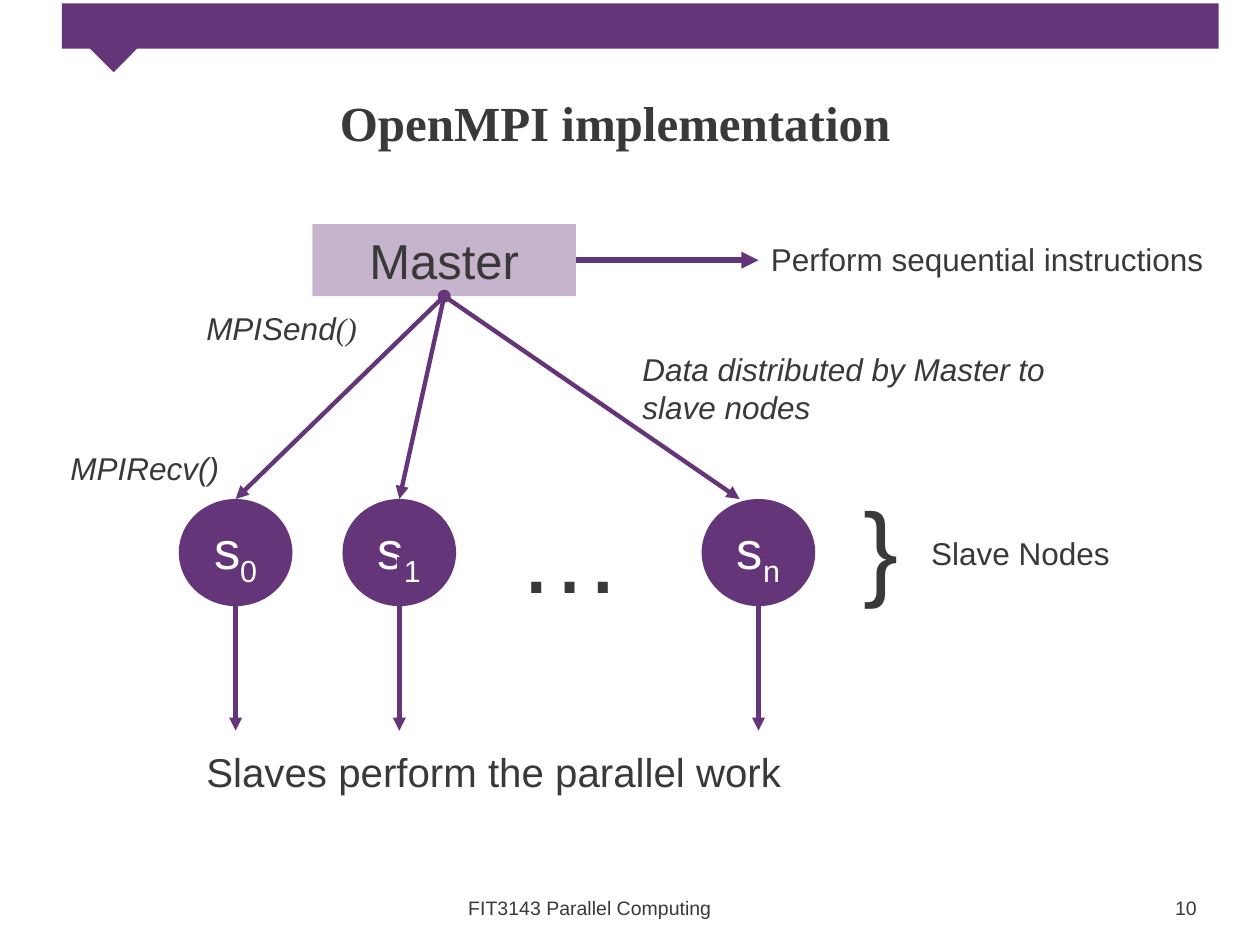
from lxml import etree
from pptx import Presentation
from pptx.dml.color import RGBColor
from pptx.enum.shapes import MSO_CONNECTOR, MSO_SHAPE
from pptx.enum.text import MSO_ANCHOR, PP_ALIGN
from pptx.oxml.ns import qn
from pptx.util import Cm, Pt

PURPLE = RGBColor(0x65, 0x35, 0x79)
DARK = RGBColor(0x39, 0x39, 0x38)
WHITE = RGBColor(0xFF, 0xFF, 0xFF)

RECTANGLE = MSO_SHAPE.RECTANGLE
OVAL = MSO_SHAPE.OVAL
STRAIGHT = MSO_CONNECTOR.STRAIGHT
CENTER = PP_ALIGN.CENTER
MIDDLE = MSO_ANCHOR.MIDDLE


def add_run(paragraph, text, size=18, font="Arial", color=DARK,
            bold=False, italic=False, subscript=False):
    run = paragraph.add_run()
    run.text = text
    run.font.size = Pt(size)
    run.font.name = font
    run.font.color.rgb = color
    run.font.bold = bold
    run.font.italic = italic
    if subscript:
        run._r.get_or_add_rPr().set("baseline", "-25000")


class Diagram:
    """Draws elements on one slide; all lengths are in centimetres."""

    def __init__(self, slide):
        self.slide = slide
        self.accent = PURPLE

    def shape(self, kind, left, top, width, height, rotation=0, opacity=None):
        shape = self.slide.shapes.add_shape(
            kind, Cm(left), Cm(top), Cm(width), Cm(height))
        shape.shadow.inherit = False
        shape.rotation = rotation
        shape.line.fill.background()
        shape.fill.solid()
        shape.fill.fore_color.rgb = self.accent
        if opacity is not None:
            color = shape._element.spPr.find(qn("a:solidFill"))[0]
            etree.SubElement(color, qn("a:alpha"), val=str(opacity * 1000))
        shape.text_frame.vertical_anchor = MIDDLE
        paragraph = shape.text_frame.paragraphs[0]
        paragraph.alignment = CENTER
        return paragraph

    def label(self, text, left, top, width, height, wrap=False,
              centered=False, **text_format):
        box = self.slide.shapes.add_textbox(
            Cm(left), Cm(top), Cm(width), Cm(height))
        frame = box.text_frame
        frame.word_wrap = wrap
        paragraph = frame.paragraphs[0]
        if centered:
            frame.vertical_anchor = MIDDLE
            paragraph.alignment = CENTER
        add_run(paragraph, text, **text_format)
        return paragraph

    def arrow(self, start, end, width=2.5, head=None):
        connector = self.slide.shapes.add_connector(
            STRAIGHT, *(Cm(value) for value in (*start, *end)))
        connector.line.color.rgb = self.accent
        connector.line.width = Pt(width)
        line = connector.line._get_or_add_ln()
        if head:
            etree.SubElement(line, qn("a:headEnd"), type=head)
        etree.SubElement(line, qn("a:tailEnd"), type="triangle")
        etree.SubElement(connector._element.spPr, qn("a:effectLst"))


def main():
    presentation = Presentation()
    presentation.slide_width = Cm(25.4)
    presentation.slide_height = Cm(19.05)
    slide = presentation.slides.add_slide(presentation.slide_layouts[6])
    diagram = Diagram(slide)

    # Footer
    diagram.label("10", 23.44, 17.93, 0.99, 0.74, size=11.1)
    diagram.label("FIT3143 Parallel Computing", 9.19, 17.93, 5.44, 0.74, size=11.1)

    # Header band with its pointer, and title
    diagram.shape(RECTANGLE, 1.25, 0.07, 23.32, 0.91)
    diagram.shape(RECTANGLE, 1.96, 0.3, 0.81, 1.02, rotation=45)
    diagram.label("OpenMPI implementation", 4.5, 1.12, 15.8, 2.69, wrap=True,
                  centered=True, size=28, font="Times New Roman", bold=True)

    # Master node
    left, top, width, height = 6.3, 4.52, 5.31, 1.45
    master = diagram.shape(RECTANGLE, left, top, width, height, opacity=37)
    master.space_before = Pt(4)
    add_run(master, "Master", size=28)
    middle = top + height / 2
    diagram.arrow((left + width, middle), (15.29, middle), width=3.25)
    diagram.label("Perform sequential instructions", 15.29, 4.72, 9.32, 1.02)
    source = (left + width / 2, top + height)

    # Slave nodes: index, centre, end of incoming arrow, start of outgoing arrow
    node_top, node_width, node_height = 10.06, 2.29, 2.16
    nodes = [
        ("0", 4.75, 4.75, 12.12, None),
        ("1", 8.05, 8.05, 11.23, "oval"),
        ("n", 15.29, 14.91, 12.19, None),
    ]
    for index, center, target, exit_top, head in nodes:
        node = diagram.shape(OVAL, center - node_width / 2, node_top,
                             node_width, node_height)
        add_run(node, "s", size=30, color=WHITE)
        add_run(node, index, size=30, color=WHITE, subscript=True)
        diagram.arrow(source, (target, node_top), head=head)
        diagram.arrow((center, exit_top), (center, 14.73))

    diagram.label("…", 10.19, 9.73, 2.64, 2.82, size=60)
    diagram.label("}", 17.15, 9.6, 1.22, 2.82, size=60)
    diagram.label("Slave Nodes", 18.52, 10.64, 4.14, 1.02)

    # Notes on the message flow
    diagram.label("Data distributed by Master to slave nodes",
                  12.7, 6.93, 10.21, 1.8, wrap=True, italic=True)
    send = diagram.label("MPISend", 3.91, 6.1, 3.58, 1.02, italic=True)
    add_run(send, "()", font="Times New Roman", italic=True)
    diagram.label("MPIRecv()", 1.17, 8.92, 3.53, 1.02, italic=True)
    diagram.label("Slaves perform the parallel work", 3.91, 14.94, 12.19, 1.24, size=23)

    presentation.save("out.pptx")


if __name__ == "__main__":
    main()
